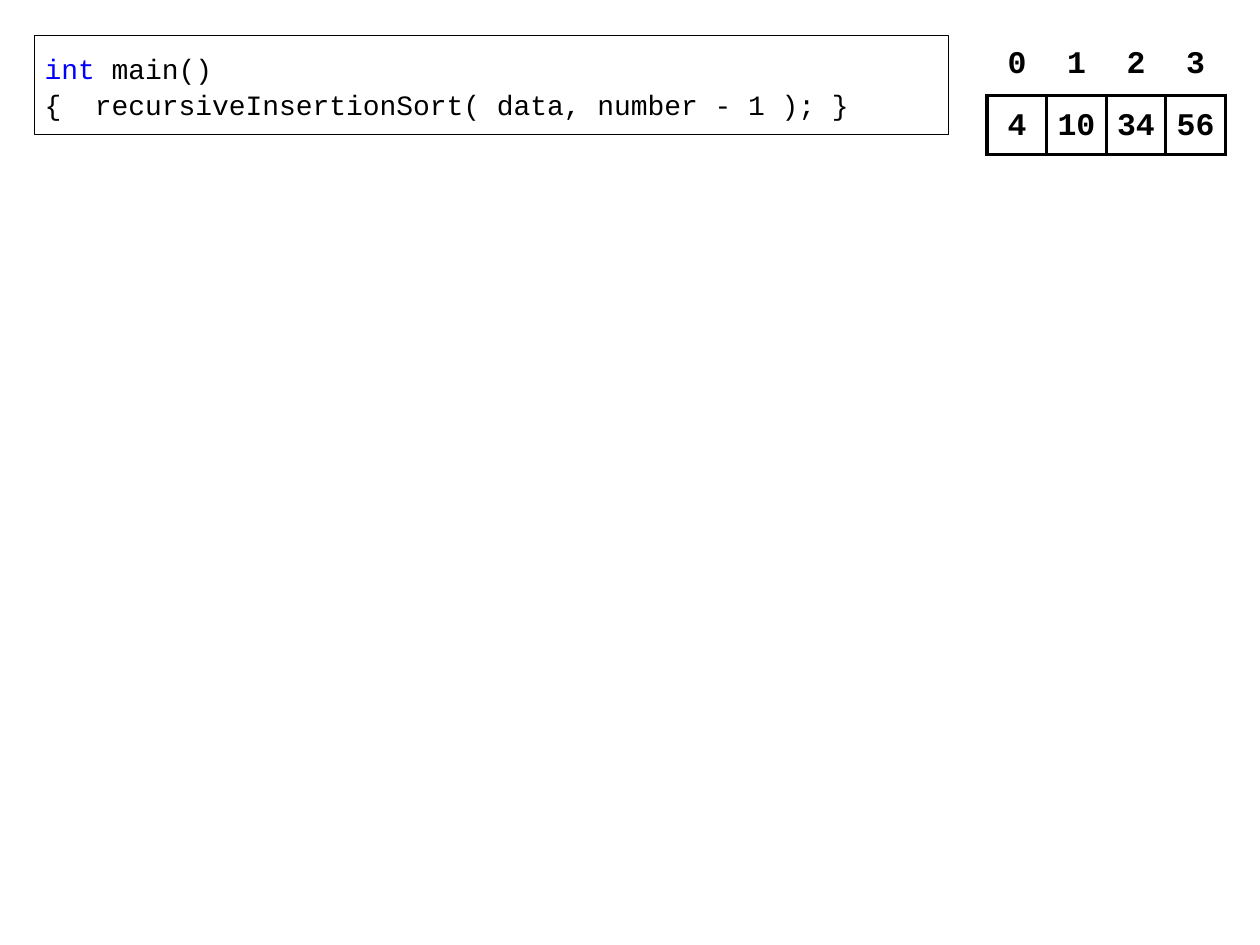
from lxml import etree
from pptx import Presentation
from pptx import util as u
from pptx.dml import color
from pptx.enum import shapes, text
from pptx.oxml import ns

FONT = "Courier New"
BLACK, BLUE, WHITE = "000000", "0000FF", "FFFFFF"


def rgb(value):
    return color.RGBColor.from_string(value)


def add_run(p, words, size, ink=BLACK, bold=False):
    r = p.add_run()
    r.text = words
    r.font.name = FONT
    r.font.size = u.Pt(size)
    r.font.bold = bold
    r.font.color.rgb = rgb(ink)


prs = Presentation()
prs.slide_width, prs.slide_height = u.Cm(25.4), u.Cm(19.05)
s = prs.slides.add_slide(prs.slide_layouts[6])

# Code box
sp = s.shapes.add_shape(shapes.MSO_SHAPE.RECTANGLE,
                        u.Cm(0.7), u.Cm(0.72), u.Cm(18.42), u.Cm(2))
sp.shadow.inherit = False
sp.fill.background()
sp.line.color.rgb = rgb(BLACK)
sp.line.width = u.Pt(0.75)
tf = sp.text_frame
tf.word_wrap = True
tf.vertical_anchor = text.MSO_ANCHOR.MIDDLE
tf.margin_left = tf.margin_right = u.Cm(0.2)
tf.margin_top = tf.margin_bottom = u.Cm(0.05)
code = [
    [("int", BLUE), (" main()", BLACK)],
    [("{  recursiveInsertionSort( data, number - 1 ); }", BLACK)],
]
for i, line in enumerate(code):
    p = tf.add_paragraph() if i else tf.paragraphs[0]
    p.alignment = text.PP_ALIGN.LEFT
    p.line_spacing = 1.07
    for words, ink in line:
        add_run(p, words, 16, ink)

# Array: indices above, boxed values below
rows = [["0", "1", "2", "3"], ["4", "10", "34", "56"]]
side = u.Cm(1.2)
tbl = s.shapes.add_table(2, 4, u.Cm(19.9), u.Cm(0.72), side * 4, side * 2).table
tbl.first_row = tbl.horz_banding = False
# "No Style, No Grid"
tbl._tbl.tblPr.find(ns.qn("a:tableStyleId")).text = "{2D5ABB26-0587-4C30-8999-92F81FD0307C}"
for col in tbl.columns:
    col.width = side
for i, values in enumerate(rows):
    tbl.rows[i].height = side
    for j, value in enumerate(values):
        cell = tbl.cell(i, j)
        cell.vertical_anchor = text.MSO_ANCHOR.MIDDLE
        cell.margin_left = cell.margin_right = u.Cm(0.19)
        cell.margin_top = u.Cm(0.13)
        cell.margin_bottom = u.Cm(0.05 if i else 0.13)
        p = cell.text_frame.paragraphs[0]
        p.alignment = text.PP_ALIGN.CENTER
        add_run(p, value, 18, bold=True)

        # Borders: all round a value, only below an index
        tcPr = cell._tc.get_or_add_tcPr()
        for edge in ("lnL", "lnR", "lnT", "lnB") if i else ("lnB",):
            ln = etree.SubElement(tcPr, ns.qn("a:" + edge), w=str(u.Pt(2.25)))
            fill = etree.SubElement(ln, ns.qn("a:solidFill"))
            etree.SubElement(fill, ns.qn("a:srgbClr"), val=BLACK)
        if i:
            cell.fill.solid()
            cell.fill.fore_color.rgb = rgb(WHITE)
        else:
            cell.fill.background()

prs.save("out.pptx")
